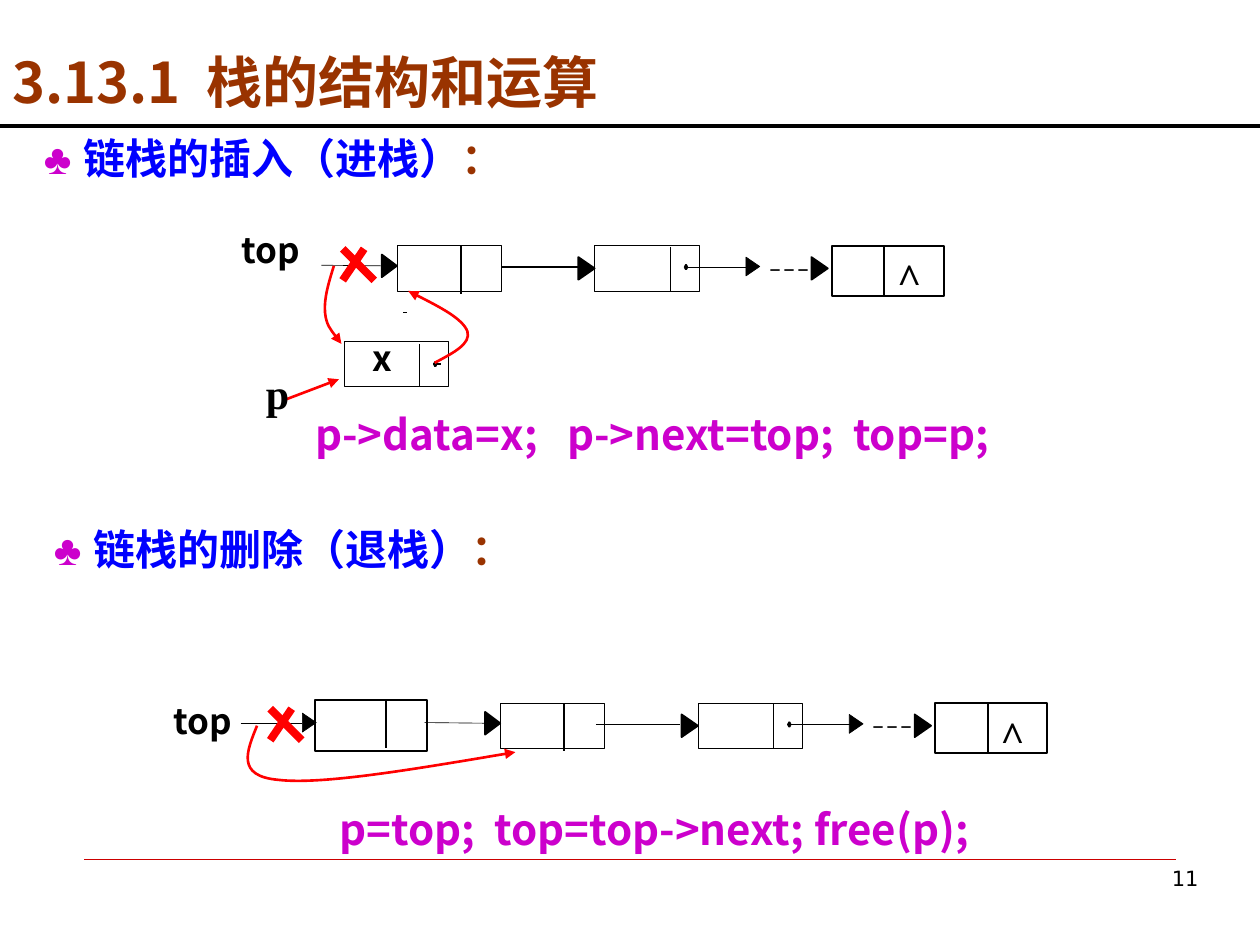
"""Build the linked-stack slide: push and pop shown as pointer diagrams."""
from lxml import etree
from pptx import Presentation
from pptx import util as u
from pptx.dml.color import RGBColor
from pptx.enum import shapes, text
from pptx.oxml.ns import qn

CELL = u.Inches(0.1)
COLS, ROWS = 100, 75
BLACK, WHITE, RED, PURPLE, BLUE, BROWN = "000000", "FFFFFF", "FF0000", "CC00CC", "0000FF", "993300"
SANS, SERIF = "Noto Sans CJK SC", "Times New Roman"
HAIR, THIN, EDGE = 0.37, 0.75, 1.13

deck = Presentation()
deck.slide_width, deck.slide_height = COLS * CELL, ROWS * CELL
slide = deck.slides.add_slide(deck.slide_layouts[6])
canvas = slide.shapes


def paint(part, line, width, fill=None, arrow=False):
    """Set outline, fill and arrowhead, and switch the shadow off."""
    part.line.color.rgb = RGBColor.from_string(line)
    part.line.width = u.Pt(width)
    if fill:
        part.fill.solid()
        part.fill.fore_color.rgb = RGBColor.from_string(fill)
    if arrow:
        etree.SubElement(part.line._ln, qn("a:tailEnd"), type="triangle")
    etree.SubElement(part.element.spPr, qn("a:effectLst"))


def write(frame, runs, size, align="LEFT", bold=True, inset=(1, 0.5), before=0, spacing=None):
    """Fill a text frame with (wording, font, colour) runs."""
    frame.margin_left = frame.margin_right = int(inset[0] * CELL)
    frame.margin_top = frame.margin_bottom = int(inset[1] * CELL)
    frame.vertical_anchor = text.MSO_ANCHOR.TOP
    line = frame.paragraphs[0]
    line.alignment = text.PP_ALIGN[align]
    line.space_before = u.Pt(before)
    if spacing:
        line.line_spacing = spacing
    for wording, font, colour in runs:
        run = line.add_run()
        run.text = wording
        run.font.name, run.font.size, run.font.bold = font, u.Pt(size), bold
        run.font.color.rgb = RGBColor.from_string(colour)
        etree.SubElement(run.font._element, qn("a:ea"), typeface=font)
    return line


nodes, ends, dividers, lines, outlines = [], [], [], [], []
labels = [(19.2, 18.1, 4.7, 3.3, "top", SANS, 20), (13.8, 55.5, 4.7, 3.3, "top", SANS, 20),
          (29.6, 26.7, 1.6, 3.3, "x", SANS, 20), (21.1, 29.2, 1.9, 4, "p", SERIF, 24)]
dots = [(34.4, 28.7)]
crosses = []

for dx, dy, link, cross_dx, cross_dy in ((0, 0, 39.8, 0, 0), (8.2, 36.3, 47.3, -5.75, 36.5)):
    nodes += [(31.5 + dx, 19.5 + dy, 8.3, 3.6, HAIR), (47.2 + dx, 19.5 + dy, 8.3, 3.6, HAIR)]
    ends.append((66 + dx, 19.5 + dy))
    dividers += [(53.2 + dx, 19.6 + dy, 3.5, HAIR), (36.6 + dx, 19.5 + dy, 3.8, EDGE),
                 (70.2 + dx, 19.5 + dy, 4, EDGE)]
    lines += [(25.5 + dx, 21.05 + dy, 30.3 + dx, 21.1 + dy, BLACK, HAIR),
              (link, 21.2 + dy, link + 6.7, 21.2 + dy, BLACK, THIN),
              (54.5 + dx, 21.2 + dy, 59.3 + dx, 21.2 + dy, BLACK, HAIR)]
    outlines += [(30.3 + dx, 20.2 + dy, 1.2, 1.8, 1), (45.9 + dx, 20.4 + dy, 1.3, 1.8, 1),
                 (64.4 + dx, 20.4 + dy, 1.3, 1.8, 1), (59.2 + dx, 20.4 + dy, 1.1, 1.5, HAIR)]
    dots.append((54.3 + dx, 21 + dy))
    labels.append((61 + dx, 19.4 + dy, 3.3, 4, "┄", SANS, 24))
    for x1, x2 in ((28.9, 27.2), (27.2, 29.7)):
        crosses.append((x1 + cross_dx, 19.75 + cross_dy, x2 + cross_dx, 22.25 + cross_dy, RED, 4.5))

nodes += [(27.3, 27.1, 8.3, 3.6, HAIR), (25, 55.6, 8.9, 4, EDGE)]
dividers += [(33.3, 27.3, 3.4, HAIR), (30.6, 55.5, 3.9, EDGE)]
outlines.append((24, 56.6, 1.1, 1.5, HAIR))
lines += [(x, y, x, y + height, BLACK, width) for x, y, height, width in dividers]
lines += [(34.4, 28.9, 35, 28.9, BLACK, 1), (32.3, 24.8, 32, 24.8, BLACK, 1),
          (19.1, 57.4, 24, 57.4, BLACK, THIN), (22.7, 31.7, 26.9, 30.1, RED, 1.5),
          (6.7, 68.2, 93.3, 68.2, "CC0000", 0.25), (0, 10, COLS, 10, BLACK, 2.25)] + crosses

for x, y, width, height, edge in nodes[:2] + nodes[2:] + [(*end, 8.9, 4, EDGE) for end in ends]:
    node = canvas.add_shape(shapes.MSO_SHAPE.RECTANGLE, *(int(n * CELL) for n in (x, y, width, height)))
    paint(node, BLACK, edge, WHITE)
    if (x, y) in ends:
        write(node.text_frame, [("^", SERIF, BLACK)], 24, inset=(5.2, 0.5))
        node.text_frame.margin_right = 0

for x1, y1, x2, y2, colour, width in lines:
    stroke = canvas.add_connector(shapes.MSO_CONNECTOR.STRAIGHT, *(int(n * CELL) for n in (x1, y1, x2, y2)))
    paint(stroke, colour, width, arrow=(colour, width) == (RED, 1.5))

solids = [([(x, y), (x + w, y + h / 2), (x, y + h)], edge) for x, y, w, h, edge in outlines]
solids += [([(x, y + 0.2), (x + 0.1, y), (x + 0.2, y), (x + 0.3, y + 0.2), (x + 0.2, y + 0.4),
             (x + 0.1, y + 0.4)], HAIR) for x, y in dots]
curves = [[(34.5, 28.8), (36, 28), (37.4, 27.3), (37.1, 26.3), (36.7, 25.3), (34.6, 24.2), (32.4, 23.1)],
          [(26.5, 21.1), (26.1, 22.4), (25.7, 23.7), (25.8, 24.8), (25.9, 25.8), (26.5, 26.5), (27.1, 27.3)],
          [(20.4, 57.6), (19.6, 59.6), (18.7, 61.6), (22.1, 61.9), (25.5, 62.3), (33.2, 61), (40.9, 59.7)]]

for points, edge in solids + [(curve, None) for curve in curves]:
    start, *rest = [(int(x * CELL), int(y * CELL)) for x, y in points]
    builder = canvas.build_freeform(*start)
    builder.add_line_segments(rest, close=bool(edge))
    outline = builder.convert_to_shape()
    if edge:
        paint(outline, BLACK, edge, BLACK)
        continue
    outline.fill.background()
    paint(outline, RED, 1.5, arrow=True)
    route = outline.element.find(".//" + qn("a:path"))
    for i, step in enumerate(route.findall(qn("a:lnTo"))):
        if i % 3 == 0:
            bend = etree.SubElement(route, qn("a:cubicBezTo"))
        bend.append(step[0])
        route.remove(step)

for x, y, width, height, wording, font, size in labels:
    label = canvas.add_textbox(*(int(n * CELL) for n in (x, y, width, height))).text_frame
    label.word_wrap = False
    write(label, [(wording, font, BLACK)], size, inset=(0, 0))

heading = dict(size=24, before=15, spacing=0.9)
passages = [
    ((0, 3.3, 76.7, 6.4), [("3.13.1  栈的结构和运算", SANS, BROWN)], dict(size=32, before=20)),
    ((12.2, 32.4, 79.1, 4.6), [("p->data=x;\tp->next=top;  top=p;", SANS, PURPLE)], dict(heading, align="CENTER")),
    ((17, 63.7, 69.8, 4.6), [("p=top;  top=top->next; free(p);", SANS, PURPLE)], dict(heading, align="CENTER")),
    ((74.4, 68.2, 21.7, 5.2), [("11", "DejaVu Sans", BLACK)], dict(size=12, align="RIGHT", bold=False)),
]
for x, y, operation in ((2.5, 10.5, "链栈的插入（进栈）"), (3.3, 41.5, "链栈的删除（退栈）")):
    passages.append(((x, y, 44.8, 4.6), [("♣ ", "Arial", PURPLE), (operation, SANS, BLUE), ("：", SANS, BROWN)], heading))

for place, runs, style in passages:
    passage = canvas.add_textbox(*(int(n * CELL) for n in place)).text_frame
    passage.word_wrap = True
    line = write(passage, runs, **style)
    if style is heading:
        hanging = line._p.get_or_add_pPr()
        hanging.set("marL", str(5 * CELL))
        hanging.set("indent", str(-5 * CELL))

deck.save("out.pptx")
